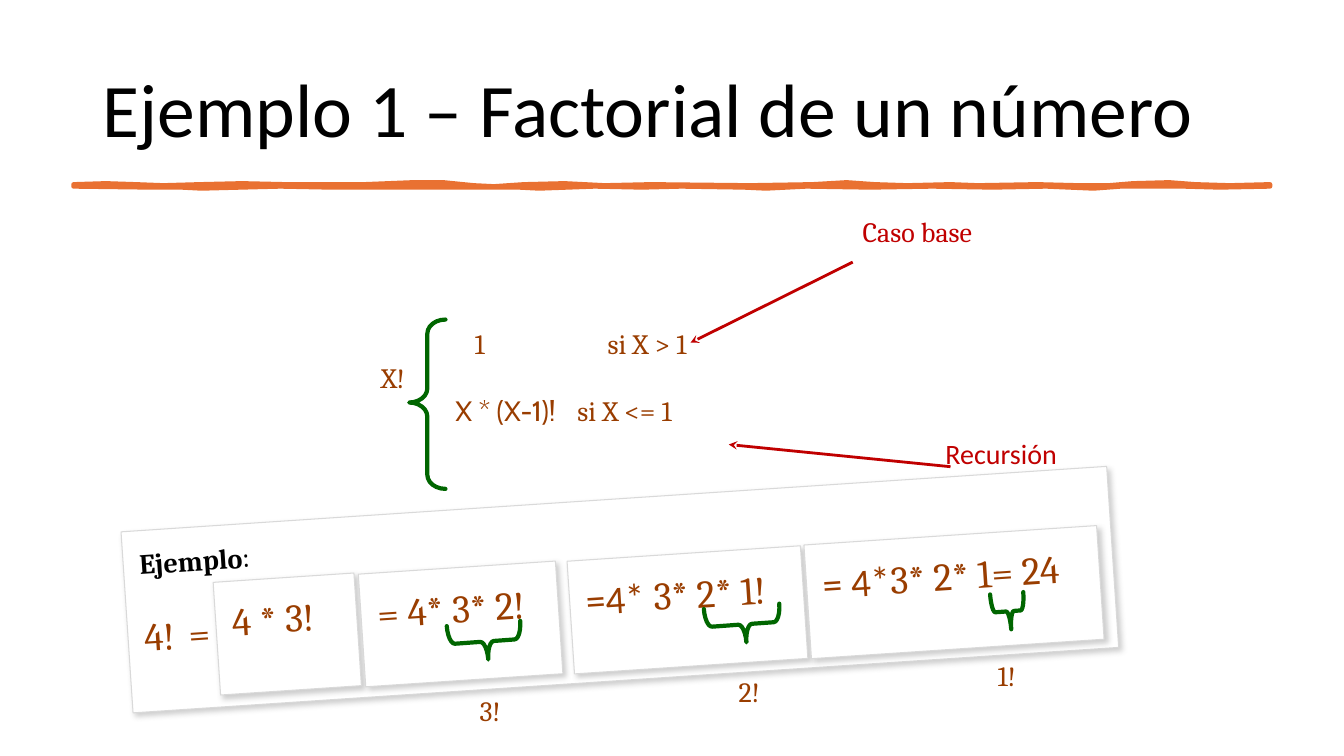
from dataclasses import dataclass

from lxml import etree
from pptx import Presentation
from pptx.dml.color import RGBColor
from pptx.enum.shapes import MSO_CONNECTOR, MSO_SHAPE
from pptx.enum.text import MSO_ANCHOR, PP_ALIGN
from pptx.oxml.ns import qn
from pptx.util import Pt

RECTANGLE, LEFT_BRACE = MSO_SHAPE.RECTANGLE, MSO_SHAPE.LEFT_BRACE
STRAIGHT = MSO_CONNECTOR.STRAIGHT
TOP, MIDDLE = MSO_ANCHOR.TOP, MSO_ANCHOR.MIDDLE
LEFT = PP_ALIGN.LEFT
PX = 9144


@dataclass(frozen=True)
class Theme:
    black: str = "000000"
    white: str = "FFFFFF"
    border: str = "D9D9D9"
    shadow: str = "808080"
    brown: str = "993D00"
    green: str = "006600"
    red: str = "C00000"
    orange: str = "E97132"
    sans: str = "Calibri"
    serif: str = "Cambria"
    accent: str = "Cabin"
    title: int = 54
    equation: int = 28
    body: int = 20


THEME = Theme()
TILT = 356.2
BRACE_TILT = 265.9

TITLE = "Ejemplo 1 – Factorial de un número"
RULE_TOP = [
    (73, 183), (105, 182), (135, 183), (162, 184), (198, 183), (240, 182),
    (284, 183), (361, 183), (410, 181), (440, 181), (470, 184), (490, 185),
    (520, 183), (560, 182), (600, 184), (646, 183), (744, 184), (806, 183),
    (840, 181), (868, 183), (900, 184), (943, 183), (970, 184), (1029, 183),
    (1070, 184), (1100, 184), (1124, 182), (1160, 181), (1186, 183),
    (1220, 184), (1260, 183),
]
RULE_BOTTOM = [
    (1260, 185), (1210, 186), (1174, 185), (1112, 185), (1085, 187),
    (1038, 185), (985, 186), (925, 185), (863, 186), (800, 185), (760, 187),
    (738, 186), (676, 185), (637, 186), (590, 185), (535, 187), (515, 186),
    (477, 186), (435, 186), (414, 186), (364, 186), (328, 186), (278, 185),
    (239, 186), (200, 187), (180, 186), (150, 186), (73, 185),
]
FORMULA = [
    ([("\t1\tsi X > 1", {})], [299, 431]),
    ([("\tX!", {})], [206]),
    ([("\t", {}), ("X * (X-1)!", {"font": THEME.accent}), ("\tsi X <= 1", {})],
     [280, 401]),
]
LABELS = [
    ("Caso base", (846, 208, 134, 44), THEME.serif),
    ("Recursión", (928, 428, 132, 44), THEME.sans),
]
ARROWS = [((846, 260), (685, 340)), ((943, 463), (723, 441))]
STEPS = [
    {"box": (215, 573, 140, 112), "runs": [("4 * 3!", {})]},
    {"box": (359, 563, 196, 112), "runs": [("= 4* 3* 2!", {})],
     "brace": (463, 600, 36, 73), "bend": (0.19, 0.53),
     "label": ("3!", (466, 683, 50, 44))},
    {"box": (566, 549, 232, 112),
     "runs": [("=4* ", {"font": THEME.sans}), ("3* 2* 1!", {})],
     "brace": (719, 582, 36, 75), "bend": (0.19, 0.53),
     "label": ("2!", (723, 664, 50, 44))},
    {"box": (801, 531, 291, 113),
     "runs": [("= 4*", {"font": THEME.sans}), ("3* 2* 1= 24", {})],
     "brace": (982, 590, 36, 33), "bend": (0.12, 0.56),
     "label": ("1!", (980, 648, 50, 44))},
]


def emu(lengths):
    return [length * PX for length in lengths]


def rgb(color):
    return RGBColor.from_string(color)


def write_text(shape, text, *, font=THEME.serif, size=THEME.body,
               color=THEME.brown, bold=False, before=0, spacing=None,
               tabs=(), anchor=TOP, inset=(10, 5), fresh=True):
    frame = shape.text_frame
    frame.word_wrap = True
    frame.vertical_anchor = anchor
    frame.margin_left = frame.margin_right = inset[0] * PX
    frame.margin_top = frame.margin_bottom = inset[1] * PX
    paragraph = frame.paragraphs[0] if fresh else frame.add_paragraph()
    paragraph.alignment = LEFT
    paragraph.space_before = Pt(before)
    if spacing:
        paragraph.line_spacing = spacing
    if tabs:
        properties = paragraph._p.get_or_add_pPr()
        stops = etree.SubElement(properties, qn("a:tabLst"))
        for tab in tabs:
            etree.SubElement(stops, qn("a:tab"), pos=str(tab * PX), algn="l")
    base = {"font": font, "size": size, "color": color, "bold": bold}
    for words, changes in [(text, {})] if isinstance(text, str) else text:
        style = {**base, **changes}
        run = paragraph.add_run()
        run.text = words
        run.font.name = style["font"]
        run.font.size = Pt(style["size"])
        run.font.bold = style["bold"]
        run.font.color.rgb = rgb(style["color"])


def add_label(slide, text, box, **style):
    shape = slide.shapes.add_textbox(*emu(box))
    write_text(shape, text, **style)


def add_card(slide, box):
    card = slide.shapes.add_shape(RECTANGLE, *emu(box))
    card.rotation = TILT
    card.fill.solid()
    card.fill.fore_color.rgb = rgb(THEME.white)
    card.line.color.rgb = rgb(THEME.border)
    card.line.width = Pt(0.75)
    card.shadow.inherit = False
    effects = card._element.spPr.find(qn("a:effectLst"))
    shadow = etree.SubElement(effects, qn("a:outerShdw"), blurRad=str(Pt(4)),
                              dist=str(Pt(3)), dir="2700000", algn="tl",
                              rotWithShape="0")
    tint = etree.SubElement(shadow, qn("a:srgbClr"), val=THEME.shadow)
    etree.SubElement(tint, qn("a:alpha"), val="39000")
    return card


def add_brace(slide, box, bend, rotation=0):
    brace = slide.shapes.add_shape(LEFT_BRACE, *emu(box))
    brace.adjustments[0], brace.adjustments[1] = bend
    brace.rotation = rotation
    brace.fill.background()
    brace.line.color.rgb = rgb(THEME.green)
    brace.line.width = Pt(3)
    brace._element.spPr.find(qn("a:ln")).set("cap", "rnd")
    brace.shadow.inherit = False


def add_arrow(slide, start, end):
    arrow = slide.shapes.add_connector(STRAIGHT, *emu(start + end))
    arrow.line.color.rgb = rgb(THEME.red)
    arrow.line.width = Pt(2)
    properties = arrow._element.spPr
    etree.SubElement(properties.find(qn("a:ln")), qn("a:tailEnd"), type="stealth")
    etree.SubElement(properties, qn("a:effectLst"))


def add_rule(slide):
    outline = slide.shapes.build_freeform(*RULE_TOP[0], scale=PX)
    outline.add_line_segments(RULE_TOP[1:] + RULE_BOTTOM, close=True)
    rule = outline.convert_to_shape()
    rule.fill.solid()
    rule.fill.fore_color.rgb = rgb(THEME.orange)
    rule.line.color.rgb = rgb(THEME.orange)
    rule.line.width = Pt(3.25)
    rule.shadow.inherit = False


def main():
    presentation = Presentation()
    presentation.slide_width, presentation.slide_height = 12192000, 750 * PX
    slide = presentation.slides.add_slide(presentation.slide_layouts[6])

    add_label(slide, TITLE, (92, 40, 1150, 145), font=THEME.sans,
              size=THEME.title, color=THEME.black, spacing=0.9, anchor=MIDDLE)
    add_rule(slide)

    example = add_card(slide, (125, 495, 980, 180))
    write_text(example, [("Ejemplo", {"bold": True}), (":", {})],
               color=THEME.black, inset=(16, 16))
    write_text(example, "4!\t=", size=THEME.equation, before=23, tabs=[44],
               inset=(16, 16), fresh=False)

    add_brace(slide, (406, 317, 36, 168), (0.39, 0.49))
    formula = slide.shapes.add_textbox(*emu((162, 274, 933, 254)))
    for index, (runs, tabs) in enumerate(FORMULA):
        write_text(formula, runs, tabs=tabs, inset=(10, 71), fresh=index == 0)
    for text, box, font in LABELS:
        add_label(slide, text, box, font=font, color=THEME.red)
    for start, end in ARROWS:
        add_arrow(slide, start, end)

    for step in STEPS:
        card = add_card(slide, step["box"])
        write_text(card, step["runs"], size=THEME.equation, inset=(16, 16))
        if "brace" in step:
            add_brace(slide, step["brace"], step["bend"], BRACE_TILT)
            add_label(slide, *step["label"])

    presentation.save("out.pptx")


if __name__ == "__main__":
    main()
